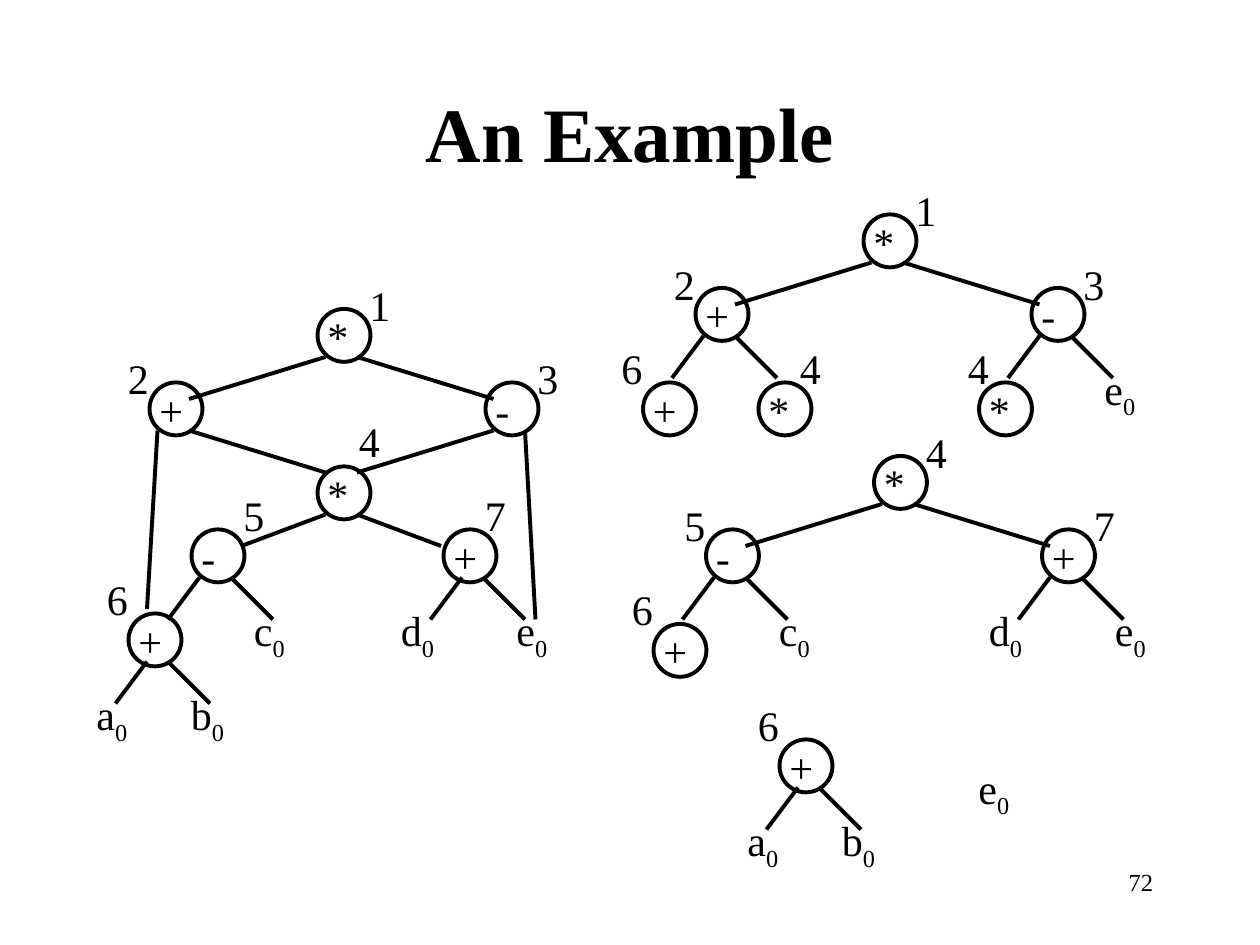
from collections import namedtuple

from lxml import etree
from pptx import Presentation
from pptx.dml.color import RGBColor
from pptx.enum import shapes, text
from pptx.oxml.ns import qn
from pptx.util import Inches, Pt

FONT = "Times New Roman"
INK = "000000"
GRID = 12  # grid steps per inch
OPERATOR_WIDTHS = {"-": 0.31, "+": 0.39}

# A leg runs from (start, 5) by (dx, dy) grid steps, measured from its node.
WIDE = [(1, -13, 4), (4, 13, 4)]
MEDIUM = [(1, -8, 3), (4, 8, 3)]
NARROW = [(1, -3, 4), (4, 4, 4)]
STEEP = [(2, -3, 4), (4, 4, 4)]

Node = namedtuple("Node", "x y operator number number_dx number_dy legs")
Leaf = namedtuple("Leaf", "x y name")

# Each tree: left and top on the grid, its nodes and its leaves.
TREES = [
    (8, 26, [
        Node(22, 3, "*", "1", 4, -3, WIDE),
        Node(6, 10, "+", "2", -3, -3, [(1, -1, 17), (4, 13, 4)]),
        Node(38, 10, "-", "3", 4, -3, [(1, -13, 4), (4, 1, 18)]),
        Node(22, 18, "*", "4", 3, -5, MEDIUM),
        Node(10, 24, "-", "5", 4, -4, NARROW),
        Node(34, 24, "+", "7", 3, -4, STEEP),
        Node(4, 32, "+", "6", -3, -4, STEEP),
    ], [Leaf(0, 39, "a"), Leaf(9, 39, "b"), Leaf(15, 31, "c"),
        Leaf(29, 31, "d"), Leaf(40, 31, "e")]),
    (58, 17, [
        Node(24, 3, "*", "1", 4, -3, WIDE),
        Node(8, 10, "+", "2", -3, -3, NARROW),
        Node(40, 10, "-", "3", 4, -3, NARROW),
        Node(3, 19, "+", "6", -3, -4, []),
        Node(14, 19, "*", "4", 3, -4, []),
        Node(35, 19, "*", "4", -2, -4, []),
    ], [Leaf(46, 17, "e")]),
    (59, 40, [
        Node(24, 3, "*", "4", 4, -3, WIDE),
        Node(8, 10, "-", "5", -3, -3, NARROW),
        Node(40, 10, "+", "7", 4, -3, NARROW),
        Node(3, 19, "+", "6", -3, -4, []),
    ], [Leaf(14, 17, "c"), Leaf(34, 17, "d"), Leaf(46, 17, "e")]),
    (70, 66, [
        Node(4, 4, "+", "6", -3, -4, STEEP),
    ], [Leaf(0, 11, "a"), Leaf(9, 11, "b"), Leaf(22, 6, "e")]),
]


def color(value):
    return RGBColor.from_string(value)


def steps(count):
    return Inches(count / GRID)


def style(run, size, bold=False):
    run.font.name = FONT
    run.font.size = Pt(size)
    run.font.bold = bold
    run.font.color.rgb = color(INK)


def add_text(slide, left, top, width, content, size=24, wrap=False):
    box = slide.shapes.add_textbox(left, top, Inches(width), Inches(0.5))
    tf = box.text_frame
    tf.word_wrap = wrap
    tf.auto_size = text.MSO_AUTO_SIZE.SHAPE_TO_FIT_TEXT
    p = tf.paragraphs[0]
    p.text = content
    style(p.runs[0], size)
    return p


def add_line(slide, x1, y1, x2, y2):
    line = slide.shapes.add_connector(
        shapes.MSO_CONNECTOR.STRAIGHT, steps(x1), steps(y1), steps(x2), steps(y2))
    line.line.color.rgb = color(INK)
    line.line.width = Pt(2.25)
    etree.SubElement(line._element.spPr, qn("a:effectLst"))


def add_node(slide, x, y, node):
    """Draw a circled operator with its number and the legs below it."""
    left, top = steps(x), steps(y)
    add_text(slide, left, top, OPERATOR_WIDTHS.get(node.operator, 0.37), node.operator)
    circle = slide.shapes.add_shape(
        shapes.MSO_SHAPE.OVAL, left + Inches(0.02), top + Inches(0.035),
        Inches(0.42), Inches(0.42))
    circle.shadow.inherit = False
    circle.fill.background()
    circle.line.color.rgb = color(INK)
    circle.line.width = Pt(2.25)
    add_text(slide, steps(x + node.number_dx), steps(y + node.number_dy), 0.37, node.number)
    for start, dx, dy in node.legs:
        add_line(slide, x + start, y + 5, x + start + dx, y + 5 + dy)


def add_leaf(slide, x, y, name):
    p = add_text(slide, steps(x), steps(y), 0.58, name, wrap=True)
    r = p.add_run()
    r.text = "0"
    style(r, 24)
    r._r.get_or_add_rPr().set("baseline", "-25000")


def add_tree(slide, left, top, nodes, leaves):
    for node in nodes:
        add_node(slide, left + node.x, top + node.y, node)
    for leaf in leaves:
        add_leaf(slide, left + leaf.x, top + leaf.y, leaf.name)


def add_title(slide, left, top, width, height):
    title = slide.shapes.title
    title.left, title.top, title.width, title.height = left, top, width, height
    tf = title.text_frame
    tf.text = "An Example"
    tf.vertical_anchor = text.MSO_ANCHOR.MIDDLE
    p = tf.paragraphs[0]
    p.alignment = text.PP_ALIGN.CENTER
    style(p.runs[0], 44, bold=True)


def main():
    prs = Presentation()
    prs.slide_width, prs.slide_height = Inches(10), Inches(7.5)
    slide = prs.slides.add_slide(prs.slide_layouts[5])
    add_title(slide, Inches(0.75), Inches(0.42), Inches(8.5), Inches(1.25))
    for tree in TREES:
        add_tree(slide, *tree)
    number = add_text(slide, Inches(7.17), Inches(6.83), 2.08, "72", size=14, wrap=True)
    number.alignment = text.PP_ALIGN.RIGHT
    prs.save("out.pptx")


if __name__ == "__main__":
    main()
